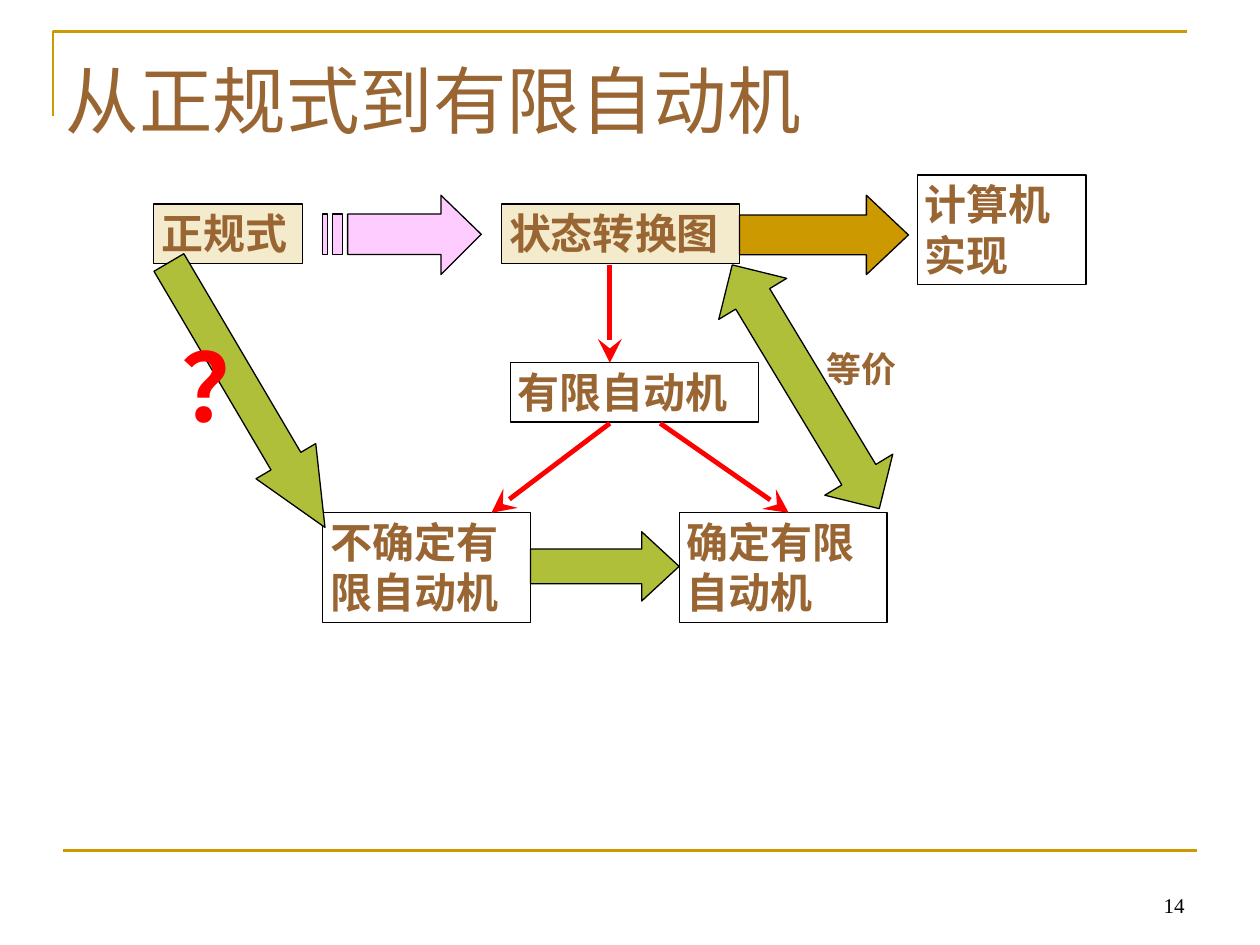
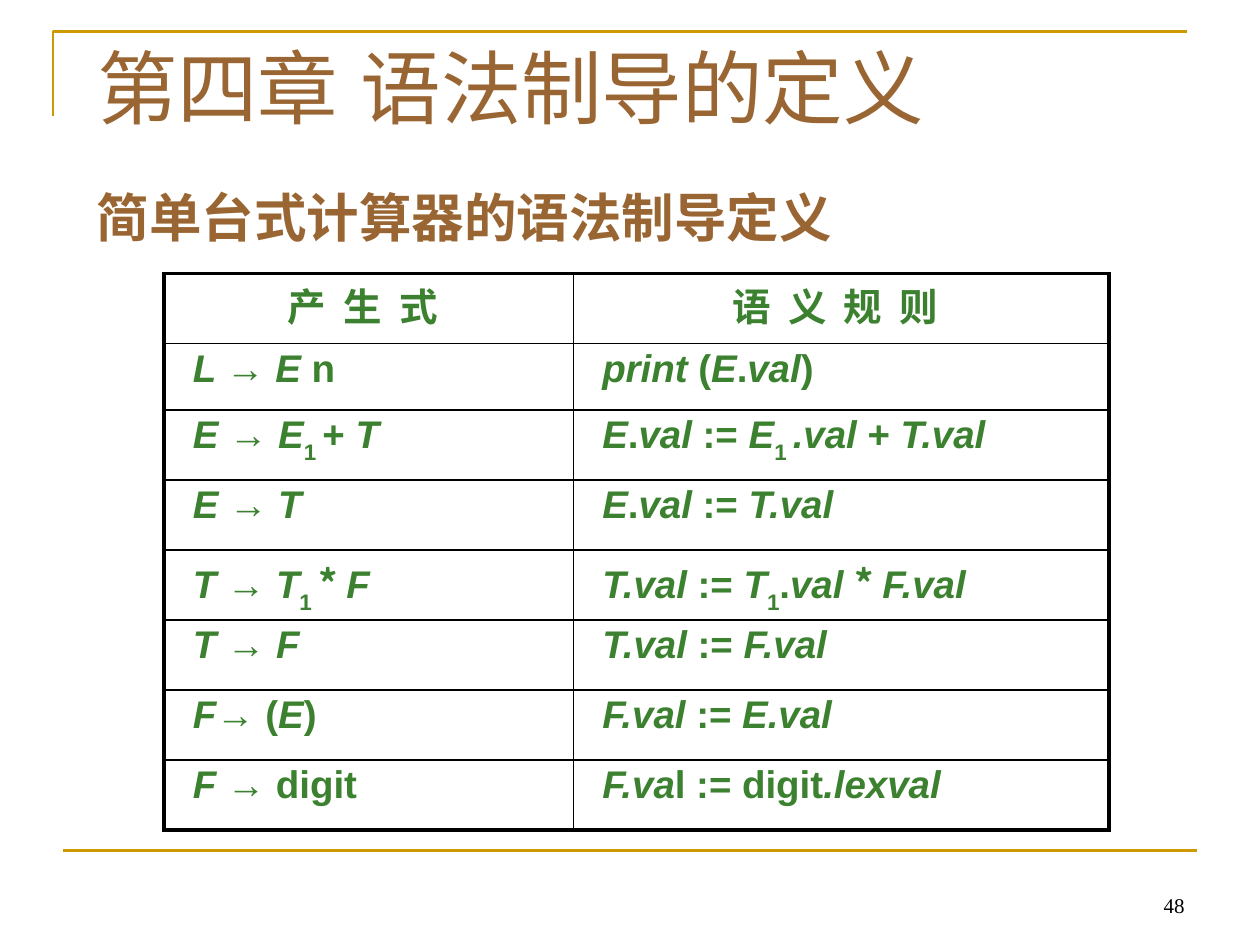
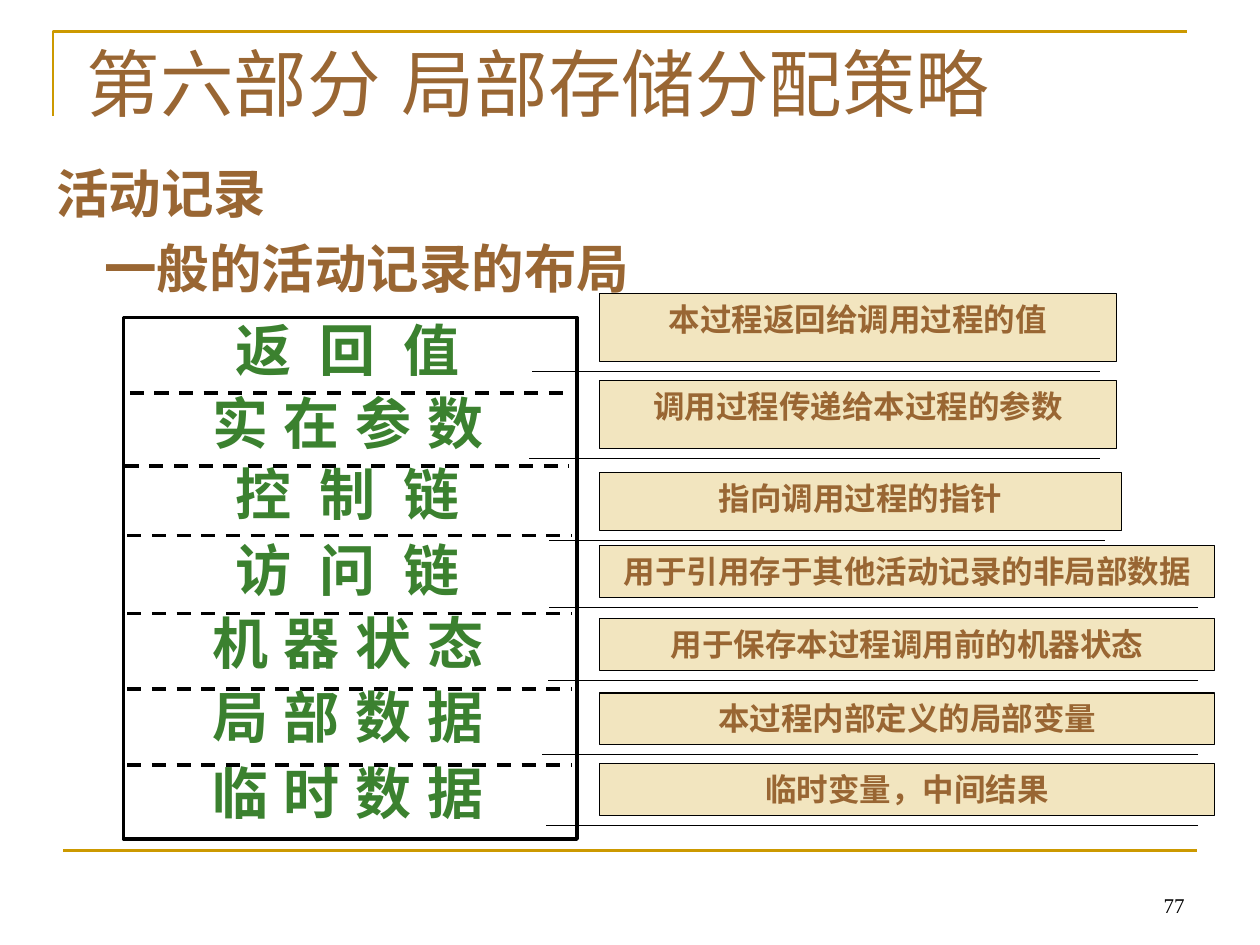
from lxml.etree import SubElement
from pptx import Presentation
from pptx.dml.color import RGBColor
from pptx.enum.dml import MSO_LINE
from pptx.enum.shapes import MSO_CONNECTOR, MSO_SHAPE
from pptx.enum.text import MSO_ANCHOR, MSO_AUTO_SIZE, PP_ALIGN
from pptx.oxml import parse_xml
from pptx.oxml.ns import nsdecls, qn
from pptx.util import Inches, Pt

GOLD = RGBColor(0xCC, 0x99, 0x00)
BROWN = RGBColor(0x99, 0x66, 0x33)
GREEN = RGBColor(0x3B, 0x81, 0x2F)
OLIVE = RGBColor(0xAF, 0xBF, 0x39)
MAGENTA = RGBColor(0xFF, 0x00, 0xFF)
RED = RGBColor(0xFF, 0x00, 0x00)
BLACK = RGBColor(0x00, 0x00, 0x00)
SERIF, SANS, LABEL, CHINESE = "Times New Roman", "Arial", "Lato", "Noto Sans CJK SC"
TIGHT = (0.06, 0.03, 0.06, 0.03)


def paint(shape, line_color, width, fill=None, opacity=100):
    shape.line.color.rgb = line_color
    shape.line.width = Pt(width)
    SubElement(shape.element.spPr, qn("a:effectLst"))
    if fill is not None:
        shape.fill.solid()
        shape.fill.fore_color.rgb = fill
        color = shape.element.spPr.find(qn("a:solidFill"))[0]
        SubElement(color, qn("a:alpha")).set("val", str(opacity * 1000))
    elif hasattr(shape, "fill"):
        shape.fill.background()


def write(frame, text, size, name, color=BROWN, bold=True, align=PP_ALIGN.LEFT,
          anchor=MSO_ANCHOR.TOP, margins=(0.1, 0.05, 0.1, 0.05), spacing=0):
    frame.text = text
    frame.word_wrap = True
    frame.auto_size = MSO_AUTO_SIZE.NONE
    frame.vertical_anchor = anchor
    frame.margin_left, frame.margin_top, frame.margin_right, frame.margin_bottom = map(Inches, margins)
    for paragraph in frame.paragraphs:
        paragraph.alignment = align
        paragraph.font.size = Pt(size)
        paragraph.font.bold = bold
        paragraph.font.color.rgb = color
        paragraph.font.name = name
        properties = paragraph.font._element
        SubElement(properties, qn("a:ea")).set("typeface", SANS if name == SERIF else name)
        properties.set("spc", str(int(spacing * 100)))


presentation = Presentation()
presentation.slide_width = Inches(10)
presentation.slide_height = Inches(7.5)
layout = presentation.slide_layouts[5]

slides = []
for title, size, anchor, box, number in [
    ("从正规式到有限自动机", 42, MSO_ANCHOR.MIDDLE, (0.42, 0.33, 9.17, 0.92), 14),
    ("第四章 语法制导的定义", 46, MSO_ANCHOR.TOP, (0.67, 0.25, 8.5, 1.25), 48),
    ("第六部分 局部存储分配策略", 42, MSO_ANCHOR.TOP, (0.59, 0.25, 9.24, 1.25), 77),
]:
    slide = presentation.slides.add_slide(layout)
    heading = slide.shapes.title
    heading.left, heading.top, heading.width, heading.height = map(Inches, box)
    write(heading.text_frame, title, size, SERIF, bold=False, anchor=anchor)
    page = slide.shapes.add_textbox(Inches(7.17), Inches(6.83), Inches(2.33), Inches(0.5))
    write(page.text_frame, str(number), 12, SERIF, BLACK, False, PP_ALIGN.RIGHT, MSO_ANCHOR.BOTTOM)
    slides.append(slide)
automata_slide, syntax_slide, storage_slide = slides

builder = automata_slide.shapes.build_freeform(Inches(0.42), Inches(0.92))
builder.add_line_segments([(Inches(0.42), Inches(0.25)), (Inches(9.42), Inches(0.25))], close=False)
corner = builder.convert_to_shape()
bottom_rule = automata_slide.shapes.add_connector(
    MSO_CONNECTOR.STRAIGHT, Inches(0.5), Inches(6.75), Inches(9.5), Inches(6.75))
for band in (corner, bottom_rule):
    paint(band, GOLD, 1.5)
    layout.shapes.element.insert(2, band.element)

shapes = automata_slide.shapes
for text, box, fill in [
    ("正规式", (1.22, 1.62, 1.18, 0.47), GOLD),
    ("计算机实现", (7.28, 1.39, 1.34, 0.87), None),
    ("状态转换图", (3.98, 1.62, 1.89, 0.47), GOLD),
    ("有限自动机", (4.05, 2.88, 1.97, 0.47), None),
    ("不确定有限自动机", (2.56, 4.07, 1.65, 0.87), None),
    ("确定有限自动机", (5.39, 4.07, 1.65, 0.87), None),
]:
    node = shapes.add_shape(MSO_SHAPE.RECTANGLE, *map(Inches, box))
    paint(node, BLACK, 0.75, fill, 20)
    write(node.text_frame, text, 24, LABEL, margins=TIGHT)

builder = shapes.build_freeform(Inches(3.5), Inches(1.55))
arrow_outline = [(3.5, 1.7), (2.76, 1.7), (2.76, 2.02), (3.5, 2.02), (3.5, 2.18), (3.82, 1.86)]
builder.add_line_segments([(Inches(x), Inches(y)) for x, y in arrow_outline])
for left, right in [(2.64, 2.72), (2.56, 2.6)]:
    builder.move_to(Inches(left), Inches(1.7))
    stripe = [(left, 2.02), (right, 2.02), (right, 1.7)]
    builder.add_line_segments([(Inches(x), Inches(y)) for x, y in stripe])
paint(builder.convert_to_shape(), BLACK, 0.75, MAGENTA, 20)

for start_x, start_y, end_x, end_y in [
    (4.84, 2.1, 4.84, 2.88), (4.84, 3.36, 3.9, 4.07), (5.24, 3.36, 6.26, 4.07),
]:
    connector = shapes.add_connector(
        MSO_CONNECTOR.STRAIGHT, Inches(start_x), Inches(start_y), Inches(end_x), Inches(end_y))
    paint(connector, RED, 2.75)
    tail = SubElement(connector.get_or_add_ln(), qn("a:tailEnd"))
    for key, value in [("type", "stealth"), ("w", "lg"), ("len", "lg")]:
        tail.set(key, value)

for kind, box, rotation, adjustments, fill in [
    (MSO_SHAPE.RIGHT_ARROW, (5.87, 1.55, 1.34, 0.63), 0, (0.5, 0.53), GOLD),
    (MSO_SHAPE.UP_DOWN_ARROW, (6.08, 1.94, 0.63, 2.26), 328.9, (0.72, 0.5), OLIVE),
    (MSO_SHAPE.RIGHT_ARROW, (0.74, 2.86, 2.44, 0.55), 59.5, (0.5, 1.11), OLIVE),
    (MSO_SHAPE.RIGHT_ARROW, (4.21, 4.22, 1.18, 0.55), 0, (0.5, 0.54), OLIVE),
]:
    arrow = shapes.add_shape(kind, *map(Inches, box))
    arrow.rotation = rotation
    arrow.adjustments[0], arrow.adjustments[1] = adjustments
    paint(arrow, BLACK, 0.75, fill)

for text, box, size, color in [
    ("等价", (6.5, 2.73, 1.34, 0.4), 20, BROWN),
    ("？", (1.38, 2.57, 0.71, 0.96), 54, RED),
]:
    note = shapes.add_textbox(*map(Inches, box))
    write(note.text_frame, text, size, LABEL, color, margins=TIGHT)

subtitle = syntax_slide.shapes.add_textbox(Inches(0.67), Inches(1.42), Inches(8.5), Inches(0.7))
write(subtitle.text_frame, "简单台式计算器的语法制导定义", 30, SANS)

rules = [
    ("产 生 式", "语 义 规 则"),
    ("/L /→ /E /n", "/print/ (/E/./val/)"),
    ("/E /→ /E/1 //+ /T/", "/E/./val/ := /E/1 /.val/ + /T.val/"),
    ("/E /→ /T/", "/E/./val/ := /T.val/"),
    ("/T /→ /T/1 //* /F/", "/T.val/ := /T/1//./val /* /F.val/"),
    ("/T /→ /F/", "/T.val/ := /F.val/"),
    ("/F/→ (/E/)", "/F.val/ := /E.val/"),
    ("/F /→ digit", "/F.va/l := digit/.lexval/"),
]
table = syntax_slide.shapes.add_table(
    len(rules), 2, Inches(1.3), Inches(2.17), Inches(7.5), Inches(4.42)).table
table.first_row = False
table.horz_banding = False
table.columns[0].width = Inches(3.25)
table.columns[1].width = Inches(4.25)
for row_index, rule in enumerate(rules):
    table.rows[row_index].height = Inches(0.53 if row_index == 1 else 5 / 9)
    for column_index, text in enumerate(rule):
        cell = table.cell(row_index, column_index)
        cell.fill.background()
        cell.margin_left = Inches(0.23 if row_index else 0.06)
        cell.margin_right = Inches(0.06 if row_index else 0.15)
        cell.margin_top = cell.margin_bottom = Inches(0.03)
        if row_index == 0:
            write(cell.text_frame, text, 22, CHINESE, GREEN, align=PP_ALIGN.CENTER, spacing=2.5)
        else:
            write(cell.text_frame, "", 22, SANS, GREEN)
            for part_index, part in enumerate(text.split("/")):
                if part:
                    run = cell.text_frame.paragraphs[0].add_run()
                    run.text = part
                    run.font.italic = part_index % 2 == 1
                    if part.strip() == "1":
                        run.font._element.set("baseline", "-30000")
                    if part.strip() == "*":
                        run.font.name = CHINESE
        outer_edges = [
            ("lnL", column_index == 0), ("lnR", column_index == 1),
            ("lnT", row_index == 0), ("lnB", row_index == len(rules) - 1),
        ]
        for position, (side, is_outer) in enumerate(outer_edges):
            border = parse_xml(
                f'<a:{side} {nsdecls("a")} w="{Pt(2.25 if is_outer else 1)}">'
                f'<a:solidFill><a:srgbClr val="{BLACK}"/></a:solidFill></a:{side}>')
            cell._tc.get_or_add_tcPr().insert(position, border)

shapes = storage_slide.shapes
subtitle = shapes.add_textbox(Inches(0.35), Inches(1.23), Inches(9.33), Inches(1.25))
write(subtitle.text_frame, "活动记录\n一般的活动记录的布局", 30, SANS)
second = subtitle.text_frame.paragraphs[1]
second.space_before = Pt(6.5)
second._p.get_or_add_pPr().set("marL", str(Inches(0.38)))

record = shapes.add_shape(MSO_SHAPE.RECTANGLE, Inches(0.98), Inches(2.52), Inches(3.6), Inches(4.14))
paint(record, BLACK, 2)
for left, right, y in [
    (1.03, 4.54, 3.12), (0.99, 4.52, 3.7), (1.01, 4.54, 4.25),
    (1.01, 4.54, 4.87), (1.01, 4.54, 5.47), (1.01, 4.54, 6.07),
]:
    divider = shapes.add_connector(
        MSO_CONNECTOR.STRAIGHT, Inches(left), Inches(y), Inches(right), Inches(y))
    paint(divider, BLACK, 2)
    divider.line.dash_style = MSO_LINE.DASH

for field, field_top, meaning, top, width, height, reach in [
    ("返 回 值", 2.41, "本过程返回给调用过程的值", 2.33, 4.1, 0.54, 0.54),
    ("实 在 参 数", 2.99, "调用过程传递给本过程的参数", 3.02, 4.1, 0.54, 0.56),
    ("控 制 链", 3.56, "指向调用过程的指针", 3.75, 4.14, 0.46, 0.4),
    ("访 问 链", 4.16, "用于引用存于其他活动记录的非局部数据", 4.33, 4.88, 0.41, 0.4),
    ("机 器 状 态", 4.74, "用于保存本过程调用前的机器状态", 4.91, 4.88, 0.41, 0.41),
    ("局 部 数 据", 5.33, "本过程内部定义的局部变量", 5.5, 4.88, 0.41, 0.46),
    ("临 时 数 据", 5.93, "临时变量，中间结果", 6.06, 4.88, 0.41, 0.43),
]:
    label = shapes.add_textbox(Inches(1.07), Inches(field_top), Inches(3.38), Inches(0.71))
    write(label.text_frame, field, 32, SERIF, GREEN, align=PP_ALIGN.CENTER,
          margins=(0.1, 0.09, 0.1, 0.05), spacing=3.5 if len(field) == 5 else 0)
    callout = shapes.add_shape(
        MSO_SHAPE.LINE_CALLOUT_1, Inches(4.76), Inches(top), Inches(width), Inches(height))
    leader_y = 1 + 0.08 / height
    for index, value in enumerate([leader_y, 1 - 0.13 / width, leader_y, -reach / width]):
        callout.adjustments[index] = value
    paint(callout, BLACK, 0.75, GOLD, 25)
    write(callout.text_frame, meaning, 18, LABEL, align=PP_ALIGN.CENTER)

presentation.save("out.pptx")
